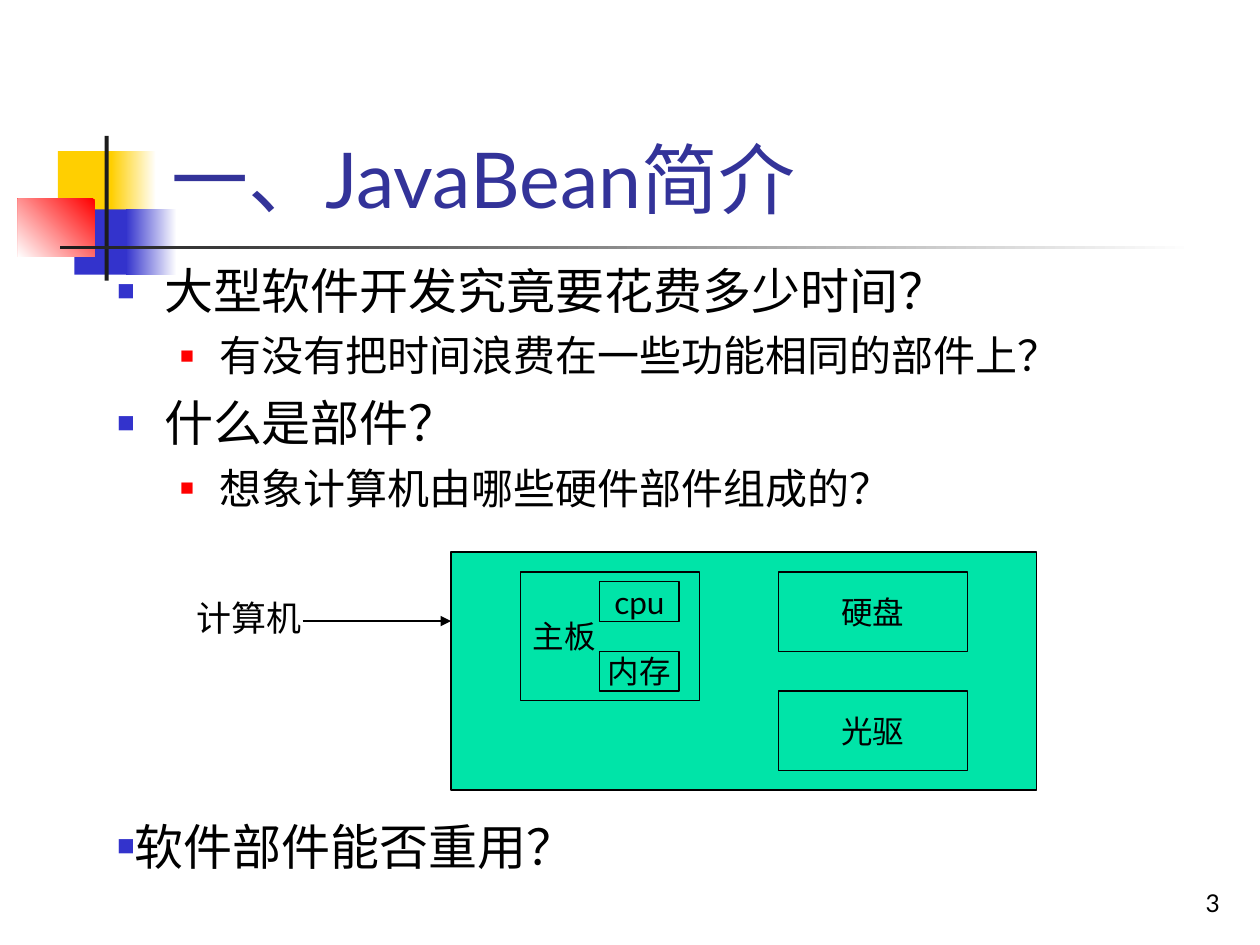
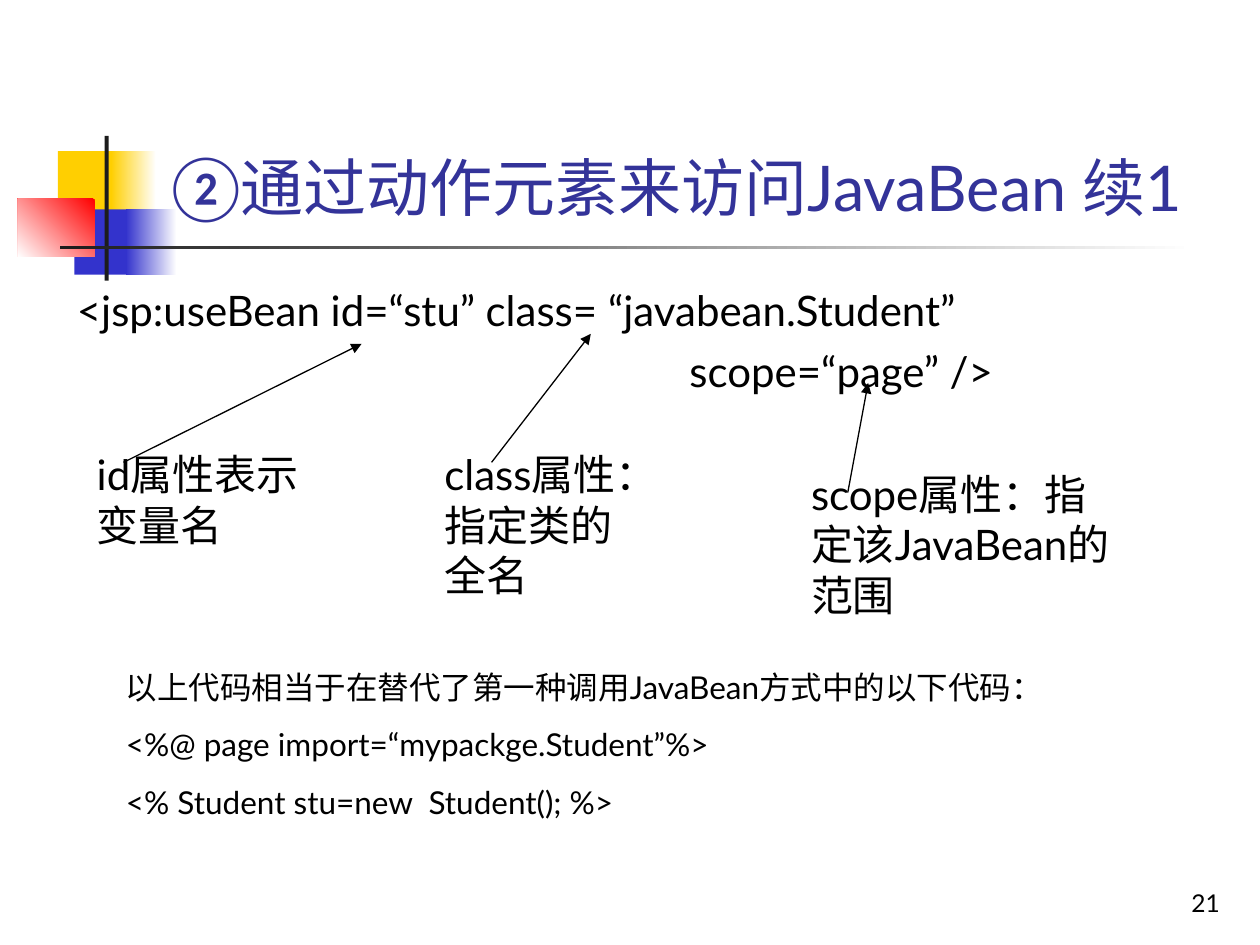
from lxml.etree import SubElement
from pptx import Presentation
from pptx.dml.color import RGBColor
from pptx.enum.shapes import MSO_CONNECTOR, MSO_SHAPE
from pptx.enum.text import MSO_ANCHOR, MSO_AUTO_SIZE, PP_ALIGN
from pptx.oxml.ns import qn
from pptx.util import Cm, Pt

FONT = "Lato"
HUES = {
    "white": "FFFFFF", "black": "000000", "title": "333399",
    "gold": "FFCF01", "blue": "3333CC", "red": "FF0000",
    "dark": "1C1C1C", "green": "00E4A8",
}
# box, start colour, end colour (None for a plain fill), angle
DECOR = [
    ((1.17, 3.05, 1.22, 1.32), "gold", None, 0),
    ((2.24, 3.05, 0.91, 1.32), "white", "gold", 180),
    ((1.5, 4.22, 1.17, 1.32), "blue", None, 0),
    ((2.54, 4.22, 1.02, 1.32), "white", "blue", 180),
    ((0.36, 4.01, 1.55, 1.17), "red", "white", 225),
    ((2.11, 2.74, 0.08, 2.92), "dark", None, 0),
    ((1.22, 4.95, 22.86, 0.08), "white", "dark", 180),
]
TITLE = (3.2, 0.58, 21.64, 4.06)
NUMBER = (19.56, 17.35, 5.28, 1.27)
# size, space before, left margin, first-line indent, bullet colour, bullet size
MAJOR = (28, 7, 0.95, -0.95, "blue", 60)
MINOR = (24, 6, 2.06, -0.79, "red", 55)
FLUSH = (28, 7, 0, 0, "blue", 60)


def hue(name):
    return RGBColor.from_string(HUES[name])


def style(para, size, color="black"):
    for run in para.runs:
        run.font.size = Pt(size)
        run.font.name = FONT
        run.font.color.rgb = hue(color)
        SubElement(run.font._element, qn("a:ea"), typeface=FONT)


def add_text(slide, box, lines, size, gap=0, align=PP_ALIGN.LEFT,
             anchor=MSO_ANCHOR.TOP):
    """Add a wrapped text box and return its paragraphs."""
    frame = slide.shapes.add_textbox(*map(Cm, box)).text_frame
    frame.word_wrap = True
    frame.vertical_anchor = anchor
    frame.text = "\n".join(lines)
    for i, para in enumerate(frame.paragraphs):
        para.alignment = align
        para.space_before = Pt(gap if i else 0)
        style(para, size)
    return frame.paragraphs


def set_indent(para, margin, first):
    props = para._p.get_or_add_pPr()
    props.set("marL", str(Cm(margin)))
    props.set("indent", str(Cm(first)))
    return props


def add_bullets(slide, box, items):
    """Add a bulleted list from (text, level style) pairs."""
    paras = add_text(slide, box, [text for text, _ in items], 28)
    for i, (para, (_, level)) in enumerate(zip(paras, items)):
        size, gap, margin, first, color, share = level
        props = set_indent(para, margin, first)
        mark = SubElement(props, qn("a:buClr"))
        SubElement(mark, qn("a:srgbClr"), val=HUES[color])
        SubElement(props, qn("a:buSzPct"), val=str(share * 1000))
        SubElement(props, qn("a:buFont"), typeface="Arial")
        SubElement(props, qn("a:buChar"), char="■")
        para.space_before = Pt(gap if i else 0)
        for run in para.runs:
            run.font.size = Pt(size)


def add_rect(slide, box):
    rect = slide.shapes.add_shape(MSO_SHAPE.RECTANGLE, *map(Cm, box))
    rect.shadow.inherit = False
    return rect


def add_part(slide, box, text="", align=PP_ALIGN.CENTER, wrap=False):
    """Add an outlined green block with an optional label."""
    part = add_rect(slide, box)
    part.fill.solid()
    part.fill.fore_color.rgb = hue("green")
    part.line.color.rgb = hue("black")
    part.line.width = Pt(0.75)
    if text:
        frame = part.text_frame
        frame.text = text
        frame.word_wrap = wrap
        frame.vertical_anchor = MSO_ANCHOR.MIDDLE
        frame.paragraphs[0].alignment = align
        style(frame.paragraphs[0], 18)


def add_arrow(slide, start, end):
    arrow = slide.shapes.add_connector(
        MSO_CONNECTOR.STRAIGHT, *map(Cm, start + end))
    arrow.line.color.rgb = hue("black")
    arrow.line.width = Pt(0.75)
    SubElement(arrow.line._get_or_add_ln(), qn("a:tailEnd"), type="triangle")
    SubElement(arrow._element.spPr, qn("a:effectLst"))


def add_decor(slide):
    for box, start, end, angle in DECOR:
        rect = add_rect(slide, box)
        rect.line.fill.background()
        if end is None:
            rect.fill.solid()
            rect.fill.fore_color.rgb = hue(start)
            continue
        rect.fill.gradient()
        rect.fill.gradient_angle = angle
        for stop, name in zip(rect.fill.gradient_stops, (start, end)):
            stop.color.rgb = hue(name)


def add_page(deck, title, size, number):
    """Add a slide with the shared title, ornament and slide number."""
    slide = deck.slides.add_slide(deck.slide_layouts[5])
    head = slide.shapes.title
    head.left, head.top, head.width, head.height = map(Cm, TITLE)
    frame = head.text_frame
    frame.text = title
    frame.word_wrap = True
    frame.auto_size = MSO_AUTO_SIZE.NONE
    frame.vertical_anchor = MSO_ANCHOR.BOTTOM
    frame.paragraphs[0].alignment = PP_ALIGN.LEFT
    style(frame.paragraphs[0], size, "title")
    add_decor(slide)
    add_text(slide, NUMBER, [str(number)], 14,
             align=PP_ALIGN.RIGHT, anchor=MSO_ANCHOR.BOTTOM)
    return slide


def draw_computer(slide, box):
    """Draw the computer with its hardware parts and its label."""
    left, top, _, _ = box

    def inside(x, y, wide, high):
        return left + x, top + y, wide, high

    add_part(slide, box)
    add_text(slide, inside(-5.38, 0.78, 2.79, 1.12), ["计算机"], 20)
    add_arrow(slide, (left - 2.99, top + 1.39), (left, top + 1.39))
    add_part(slide, inside(1.4, 0.4, 3.61, 2.59), "主板", PP_ALIGN.LEFT, True)
    for i, name in enumerate(("cpu", "内存")):
        add_part(slide, inside(3, 0.6 + 1.4 * i, 1.6, 0.8), name)
    for i, name in enumerate(("硬盘", "光驱")):
        add_part(slide, inside(6.6, 0.4 + 2.4 * i, 3.81, 1.6), name)


def draw_tag(slide, box):
    """Show the tag and explain its attributes with arrows."""
    left, top, _, _ = box
    paras = add_text(slide, box, [
        "<jsp:useBean id=“stu” class= “javabean.Student”",
        "scope=“page” />"], 24, 6)
    set_indent(paras[1], 12.35, 0)
    notes = [
        ("id属性表示变量名", (0.4, 3.31, 4.8, 2.29), (1.19, 3.71), (5.99, 1.32)),
        ("class属性：指定类的全名", (7.41, 3.31, 4.39, 3.3),
         (8.61, 3.71), (10.61, 1.12)),
        ("scope属性：指定该JavaBean的范围", (14.8, 3.71, 6.81, 3.3),
         (15.79, 4.32), (16.2, 2.11)),
    ]
    for text, (x, y, wide, high), start, end in notes:
        add_text(slide, (left + x, top + y, wide, high), [text], 24)
        add_arrow(slide, (left + start[0], top + start[1]),
                  (left + end[0], top + end[1]))


def build_intro(deck):
    slide = add_page(deck, "一、JavaBean简介", 44, 3)
    add_bullets(slide, (2.11, 5.13, 22.78, 5.41), [
        ("大型软件开发究竟要花费多少时间？", MAJOR),
        ("有没有把时间浪费在一些功能相同的部件上？", MINOR),
        ("什么是部件？", MAJOR),
        ("想象计算机由哪些硬件部件组成的？", MINOR),
    ])
    draw_computer(slide, (9.09, 11.13, 11.81, 4.8))
    add_bullets(slide, (2.11, 16.33, 21.62, 1.45),
                [("软件部件能否重用？", FLUSH)])


def build_action(deck):
    slide = add_page(deck, "②通过动作元素来访问JavaBean 续1", 36, 21)
    draw_tag(slide, (1.3, 5.61, 23.57, 2.72))
    add_text(slide, (2.29, 13.34, 18.8, 4.11), [
        "以上代码相当于在替代了第一种调用JavaBean方式中的以下代码：",
        "<%@ page import=“mypackge.Student”%>",
        "<% Student stu=new  Student(); %>",
    ], 18, 11.2)


def main():
    deck = Presentation()
    deck.slide_width, deck.slide_height = Cm(25.4), Cm(19.05)
    build_intro(deck)
    build_action(deck)
    deck.save("out.pptx")


if __name__ == "__main__":
    main()
